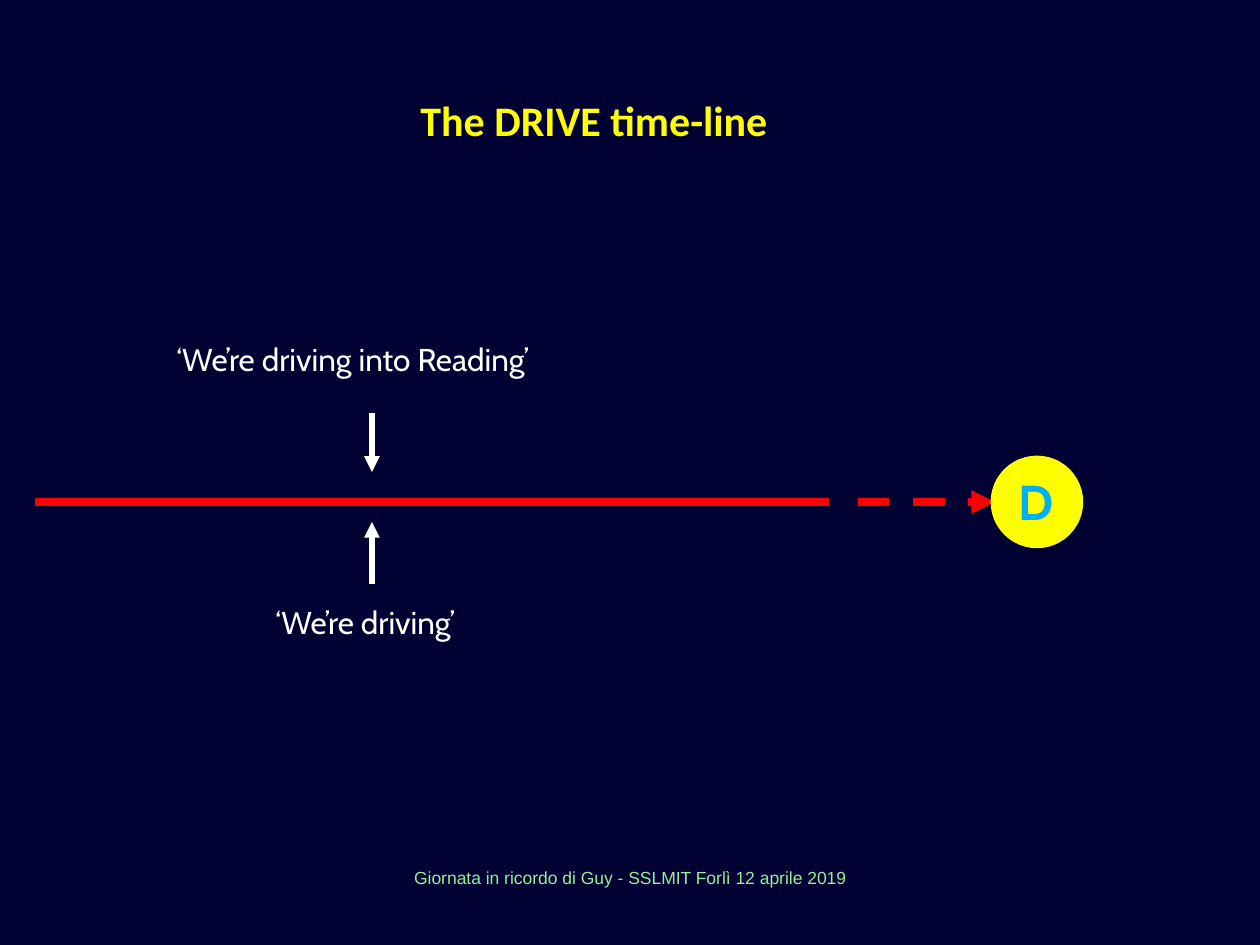
from lxml import etree
from pptx import Presentation
from pptx import util as u
from pptx.dml.color import RGBColor
from pptx.enum import dml, shapes, text
from pptx.oxml.ns import qn

PX = u.Inches(1) // 126


def px(*lengths):
    return [u.Emu(length * PX) for length in lengths]


def rgb(hex_colour):
    return RGBColor.from_string(hex_colour)


class TimelineSlide:
    NIGHT, YELLOW, RED, WHITE = "000032", "FFFF00", "FF0000", "FFFFFF"
    BLUE, GREEN = "00B0F0", "94F09B"

    def __init__(self, deck):
        self.slide = deck.slides.add_slide(deck.slide_layouts[5])
        fill = self.slide.background.fill
        fill.solid()
        fill.fore_color.rgb = rgb(self.NIGHT)

    def wording(self, frame, words, font, size, colour, bold=False,
                align=text.PP_ALIGN.LEFT):
        """Put one styled run into a text frame."""
        frame.word_wrap = True
        paragraph = frame.paragraphs[0]
        paragraph.alignment = align
        run = paragraph.add_run()
        run.text = words
        run.font.name = font
        run.font.size = u.Pt(size)
        run.font.bold = bold
        run.font.color.rgb = rgb(colour)

    def title(self, words, *box):
        heading = self.slide.shapes.title
        heading.left, heading.top, heading.width, heading.height = px(*box)
        heading.text_frame.vertical_anchor = text.MSO_ANCHOR.MIDDLE
        self.wording(heading.text_frame, words, "Calibri", 24, self.YELLOW, True,
                     text.PP_ALIGN.CENTER)

    def label(self, words, *box, font="Cabin", size=18, colour=WHITE, **style):
        frame = self.slide.shapes.add_textbox(*px(*box)).text_frame
        self.wording(frame, words, font, size, colour, **style)

    def line(self, x1, y1, x2, y2, colour, width, dashed=False, arrow=False):
        line = self.slide.shapes.add_connector(
            shapes.MSO_CONNECTOR.STRAIGHT, *px(x1, y1, x2, y2))
        line.line.color.rgb = rgb(colour)
        line.line.width = u.Pt(width)
        if dashed:
            line.line.dash_style = dml.MSO_LINE.DASH
        properties = line._element.spPr
        if arrow:
            etree.SubElement(properties.find(qn("a:ln")), qn("a:tailEnd"), type="triangle")
        etree.SubElement(properties, qn("a:effectLst"))

    def disc(self, x, y, diameter, colour):
        disc = self.slide.shapes.add_shape(
            shapes.MSO_SHAPE.OVAL, *px(x, y, diameter, diameter))
        disc.shadow.inherit = False
        disc.fill.solid()
        disc.fill.fore_color.rgb = rgb(colour)
        disc.line.color.rgb = rgb(colour)
        disc.line.width = u.Pt(1.5)


def main():
    deck = Presentation()
    deck.slide_width, deck.slide_height = px(1260, 945)
    page = TimelineSlide(deck)

    page.label("Giornata in ricordo di Guy - SSLMIT Forlì 12 aprile 2019",
               392, 861, 476, 66, font="Arial", size=10, colour=page.GREEN,
               align=text.PP_ALIGN.CENTER)
    page.title("The DRIVE time-line", 54, 45, 1080, 150)

    axis_y, moment_x = 502, 372
    page.line(35, axis_y, 829, axis_y, page.RED, 4.5)
    page.line(858, axis_y, 995, axis_y, page.RED, 4.5, dashed=True, arrow=True)
    page.disc(992, axis_y - 45, 90, page.YELLOW)
    page.label("D", 1006, 465, 59, 72, size=28, colour=page.BLUE, bold=True)

    for words, left, top, width, start_y, tip_y in (
        ("‘We’re driving’", 263, 597, 387, 584, 522),
        ("‘We’re driving into Reading’", 164, 334, 515, 413, 472),
    ):
        page.label(words, left, top, width, 50)
        page.line(moment_x, start_y, moment_x, tip_y, page.WHITE, 3, arrow=True)

    deck.save("out.pptx")


if __name__ == "__main__":
    main()
